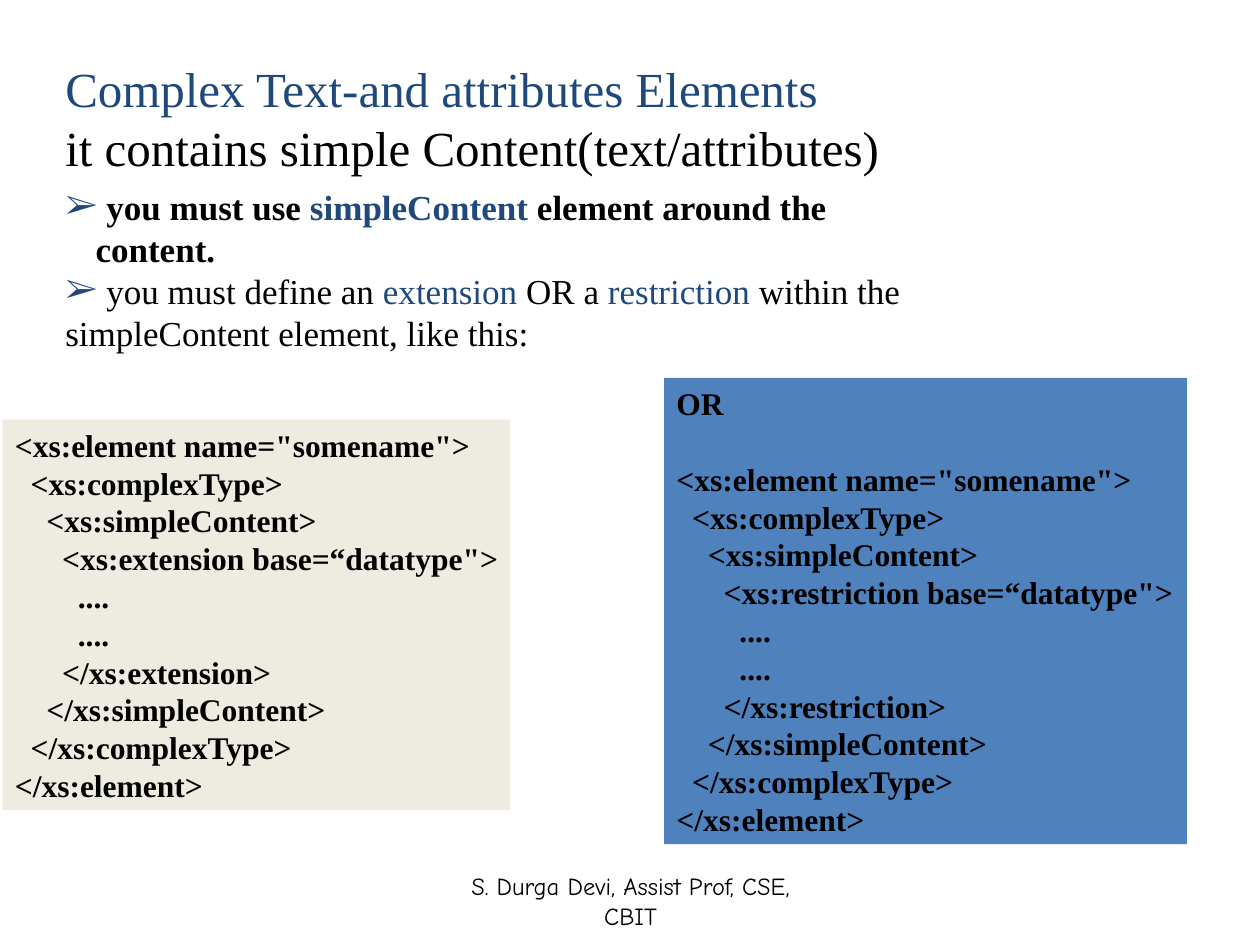
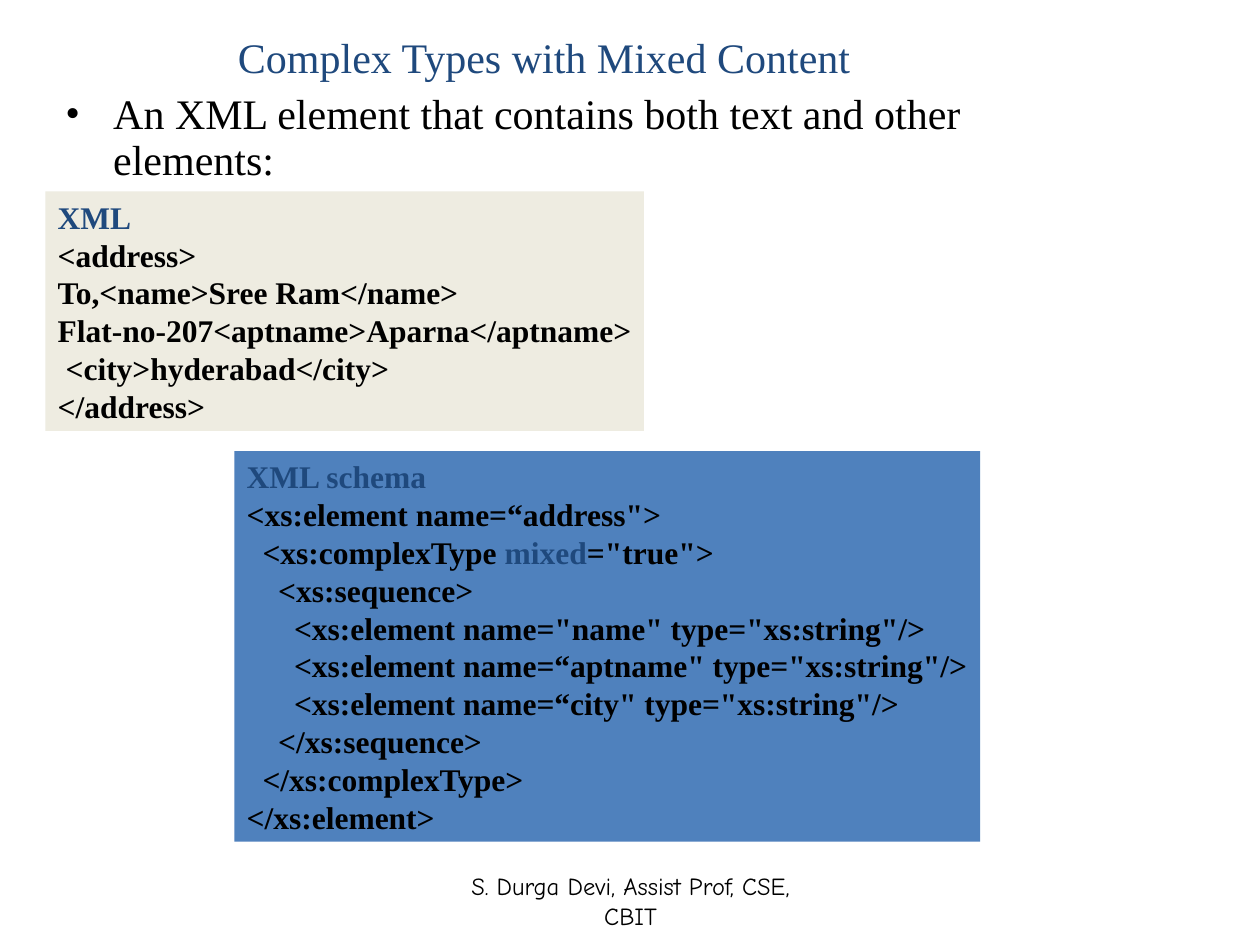
"""Build two slides on XML schema complex types."""
import pptx
import pptx.util
import pptx.dml.color
import pptx.enum.shapes
import pptx.enum.text
import pptx.oxml
import pptx.oxml.ns

Inches, Pt = pptx.util.Inches, pptx.util.Pt
Anchor = pptx.enum.text.MSO_ANCHOR
Align = pptx.enum.text.PP_ALIGN

THEME = {
    "ink": "000000", "blue": "1F497D", "cream": "EEECE1", "steel": "4F81BD",
    "serif": "Times New Roman", "comic": "Comic Neue",
    "title": Pt(28), "lead": Pt(24), "body": Pt(20), "code": Pt(18), "foot": Pt(14),
    "step": Pt(9), "gap": Pt(21.6), "hang": Inches(0.24),
}

FOOTER = "S. Durga Devi, Assist Prof, CSE, CBIT"

# Text between bars is set in blue.
TITLE = ["|Complex Text-and attributes Elements|", "it contains simple Content(text/attributes)"]
RULES = [
    ("you must use |simpleContent |element around the content.", True, True),
    ("you must define an |extension| OR a |restriction| within the", False, True),
    ("simpleContent element, like this:", False, False),
]
MIXED = [
    ("|Complex Types with Mixed Content|", 1.37, 0, None),
    ("An XML element that contains both text and other elements:", 0.38, -0.38, "•"),
]


def derive(kind):
    """Return the code lines that derive simple content by the given kind."""
    return [
        (0, '<xs:element name="somename">'),
        (1, "<xs:complexType>"),
        (2, "<xs:simpleContent>"),
        (3, f'<xs:{kind} base=“datatype">'),
        (4, "...."),
        (4, "...."),
        (3, f"</xs:{kind}>"),
        (2, "</xs:simpleContent>"),
        (1, "</xs:complexType>"),
        (0, "</xs:element>"),
    ]


ADDRESS = [
    (0, "|XML|"),
    (0, "<address>"),
    (0, "To,<name>Sree Ram</name>"),
    (0, "Flat-no-207<aptname>Aparna</aptname>"),
    (0.5, "<city>hyderabad</city>"),
    (0, "</address>"),
]
SCHEMA = [
    (0, "|XML schema|"),
    (0, '<xs:element name=“address">'),
    (1, '<xs:complexType |mixed|="true">'),
    (2, "<xs:sequence>"),
    (3, '<xs:element name="name" type="xs:string"/>'),
    (3, '<xs:element name=“aptname" type="xs:string"/>'),
    (3, '<xs:element name=“city" type="xs:string"/>'),
    (2, "</xs:sequence>"),
    (1, "</xs:complexType>"),
    (0, "</xs:element>"),
]


def color(name):
    """Look up a theme colour."""
    return pptx.dml.color.RGBColor.from_string(THEME[name])


def apply(item, form):
    """Set each attribute named in a dict."""
    for key, value in form.items():
        setattr(item, key, value)


def write(frame, index, text, size, bold=False, face="serif", **form):
    """Write one paragraph, with text between bars in blue."""
    para = frame.paragraphs[0] if index == 0 else frame.add_paragraph()
    apply(para, form)
    for turn, part in enumerate(text.split("|")):
        if part:
            run = para.add_run()
            run.text = part
            apply(run.font, {"size": THEME[size], "bold": bold, "name": THEME[face]})
            run.font.color.rgb = color("blue" if turn % 2 else "ink")
    return para


def indent(para, left, first=0):
    """Set the left margin and the first line offset."""
    props = para._p.get_or_add_pPr()
    props.set("marL", str(int(left)))
    props.set("indent", str(int(first)))


def bullet(para, sign, tint):
    """Give a paragraph a coloured bullet."""
    space = pptx.oxml.ns.nsdecls("a")
    props = para._p.get_or_add_pPr()
    for xml in (
        f'<a:buClr {space}><a:srgbClr val="{THEME[tint]}"/></a:buClr>',
        f'<a:buFont {space} typeface="{THEME["serif"]}"/>',
        f'<a:buChar {space} char="{sign}"/>',
    ):
        props.append(pptx.oxml.parse_xml(xml))


def label(slide, place, **form):
    """Add a wrapped text box and return its frame."""
    frame = slide.shapes.add_textbox(*map(Inches, place)).text_frame
    apply(frame, {"word_wrap": True, **form})
    return frame


def panel(slide, place, fill, lines, head=None):
    """Add a filled code panel, with an optional heading above the code."""
    box = slide.shapes.add_shape(
        pptx.enum.shapes.MSO_SHAPE.RECTANGLE, *map(Inches, place))
    box.shadow.inherit = False
    box.fill.solid()
    box.fill.fore_color.rgb = color(fill)
    box.line.fill.background()
    frame = box.text_frame
    apply(frame, {"word_wrap": True, "margin_right": 0,
                  "vertical_anchor": Anchor.MIDDLE})
    if head:
        write(frame, 0, head, "code", True, alignment=Align.LEFT, space_after=THEME["gap"])
    for index, (depth, text) in enumerate(lines, 1 if head else 0):
        para = write(frame, index, text, "code", True, alignment=Align.LEFT)
        indent(para, depth * THEME["step"])


def start(deck):
    """Add a blank slide with the shared footer."""
    slide = deck.slides.add_slide(deck.slide_layouts[6])
    frame = label(slide, (3.42, 6.95, 3.17, 0.4), vertical_anchor=Anchor.MIDDLE)
    write(frame, 0, FOOTER, "foot", face="comic", alignment=Align.CENTER)
    return slide


def simple(deck):
    """Build the slide on text and attributes."""
    slide = start(deck)
    frame = label(slide, (0.42, 0.58, 8.25, 1.17),
                  vertical_anchor=Anchor.MIDDLE, margin_bottom=Inches(0.52))
    for index, text in enumerate(TITLE):
        write(frame, index, text, "title")
    frame = label(slide, (0.42, 1.42, 7.2, 1.1))
    for index, (text, bold, mark) in enumerate(RULES):
        para = write(frame, index, " " + text if mark else text, "body", bold)
        if mark:
            indent(para, THEME["hang"], -THEME["hang"])
            bullet(para, "➢", "blue")
    panel(slide, (0.02, 3.33, 4.03, 3.1), "cream", derive("extension"))
    panel(slide, (5.27, 3, 4.15, 3.7), "steel", derive("restriction"), "OR")


def mixed(deck):
    """Build the slide on mixed content."""
    slide = start(deck)
    frame = label(slide, (0.42, 0.25, 8.42, 1.33))
    for index, (text, left, first, sign) in enumerate(MIXED):
        para = write(frame, index, text, "lead", line_spacing=0.9, space_before=Pt(6))
        indent(para, Inches(left), Inches(first))
        if sign:
            bullet(para, sign, "ink")
    panel(slide, (0.36, 1.52, 4.75, 1.9), "cream", ADDRESS)
    panel(slide, (1.86, 3.58, 5.92, 3.1), "steel", SCHEMA)


def main():
    """Build and save the deck."""
    deck = pptx.Presentation()
    apply(deck, {"slide_width": Inches(10), "slide_height": Inches(7.5)})
    simple(deck)
    mixed(deck)
    deck.save("out.pptx")


if __name__ == "__main__":
    main()
